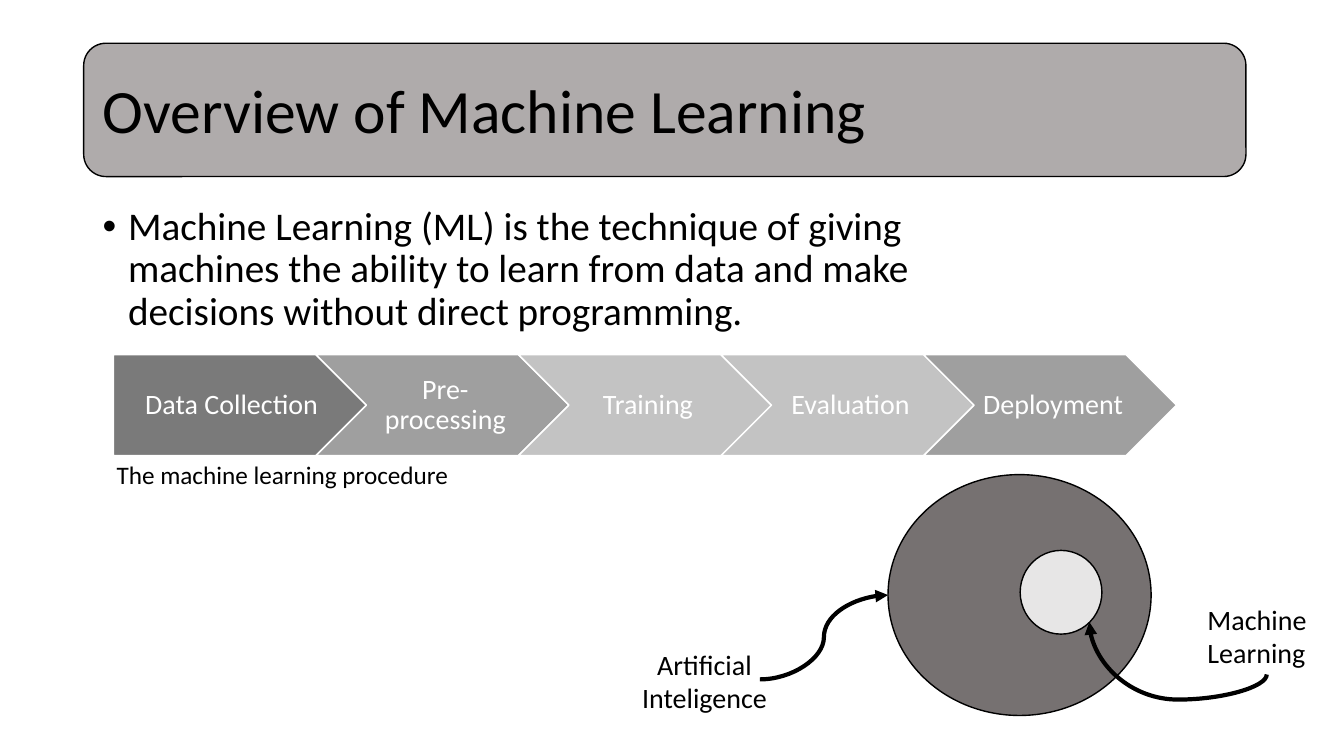
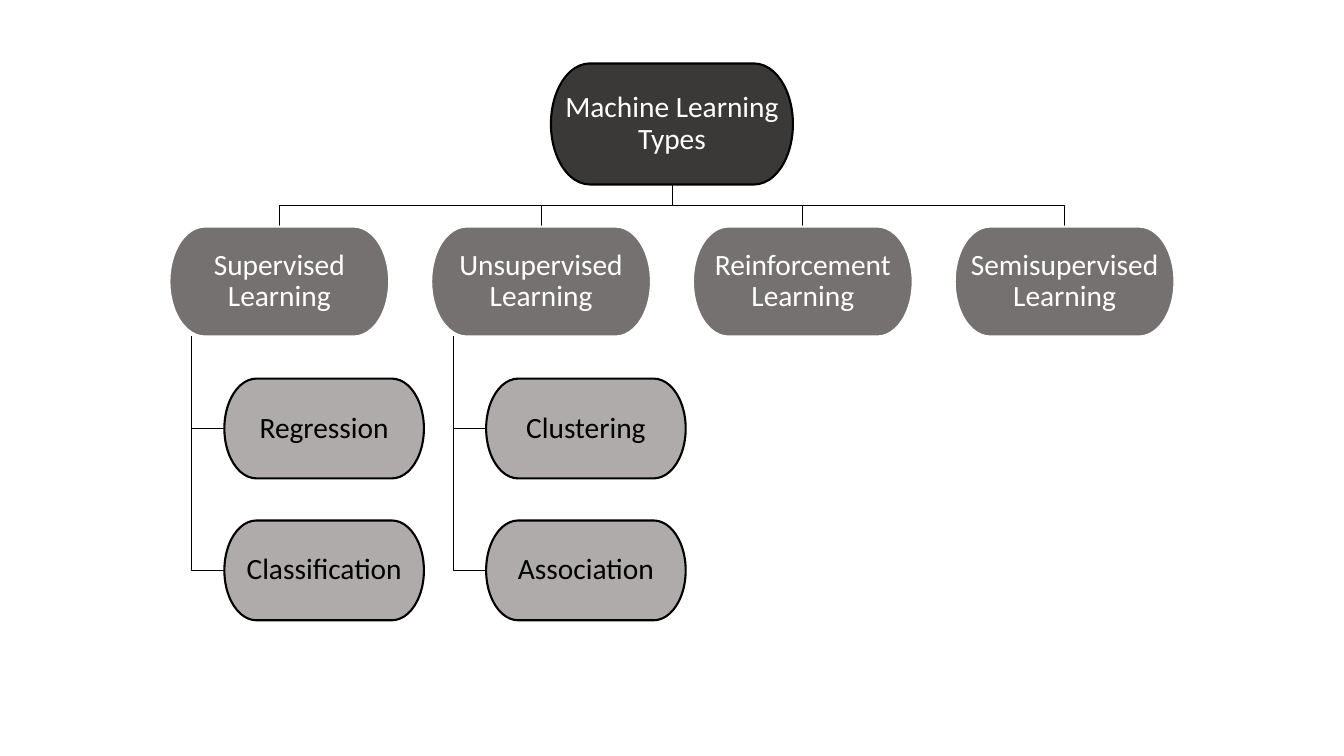
from lxml import etree
from pptx import Presentation
from pptx.dml.color import RGBColor
from pptx.enum.shapes import MSO_CONNECTOR, MSO_SHAPE
from pptx.enum.text import MSO_ANCHOR, PP_ALIGN
from pptx.oxml.ns import qn
from pptx.util import Cm, Pt

ELLIPSE = MSO_SHAPE.OVAL
ROUNDED = MSO_SHAPE.ROUNDED_RECTANGLE
PENTAGON = MSO_SHAPE.PENTAGON
CHEVRON = MSO_SHAPE.CHEVRON
TERMINATOR = MSO_SHAPE.FLOWCHART_TERMINATOR
CURVE = MSO_CONNECTOR.CURVE
LEFT = PP_ALIGN.LEFT
CENTER = PP_ALIGN.CENTER
TOP = MSO_ANCHOR.TOP
MIDDLE = MSO_ANCHOR.MIDDLE

FONT = "Calibri"
COLORS = {
    "black": "000000",
    "white": "FFFFFF",
    "charcoal": "3B3838",
    "dark": "767171",
    "band": "AFABAB",
    "pale": "E7E6E6",
    "step_dark": "7A7A7A",
    "step_medium": "9F9F9F",
    "step_light": "C3C3C3",
}
BLANK_LAYOUT = 6
NODE_INSETS = (0.03, 0.03, 0.03, 0.03)

STEPS = [
    ("Data Collection", "step_dark"),
    ("Pre-processing", "step_medium"),
    ("Training", "step_light"),
    ("Evaluation", "step_light"),
    ("Deployment", "step_medium"),
]
BRANCHES = [
    ("Supervised Learning", ["Regression", "Classification"]),
    ("Unsupervised Learning", ["Clustering", "Association"]),
    ("Reinforcement Learning", []),
    ("Semisupervised Learning", []),
]


def color(name):
    return RGBColor.from_string(COLORS[name])


def write_text(shape, text, size=20, ink="black", align=LEFT, anchor=TOP,
               insets=(0.25, 0.13, 0.25, 0.13), line_spacing=1.0,
               space_before=0, bullet_indent=0):
    frame = shape.text_frame
    frame.word_wrap = True
    frame.vertical_anchor = anchor
    (frame.margin_left, frame.margin_top,
     frame.margin_right, frame.margin_bottom) = map(Cm, insets)
    paragraph = frame.paragraphs[0]
    paragraph.alignment = align
    paragraph.line_spacing = line_spacing
    paragraph.space_before = Pt(space_before)
    run = paragraph.add_run()
    run.text = text
    run.font.name = FONT
    run.font.size = Pt(size)
    run.font.color.rgb = color(ink)
    if bullet_indent:
        properties = paragraph._p.get_or_add_pPr()
        properties.set("marL", str(Cm(bullet_indent)))
        properties.set("indent", str(-Cm(bullet_indent)))
        etree.SubElement(properties, qn("a:buFont"), typeface="Arial")
        etree.SubElement(properties, qn("a:buChar"), char="•")


def add_label(slide, text, left, top, width, height, **text_format):
    box = slide.shapes.add_textbox(Cm(left), Cm(top), Cm(width), Cm(height))
    write_text(box, text, **text_format)


def add_box(slide, kind, left, top, width, height, fill, line="black", line_width=1):
    shape = slide.shapes.add_shape(kind, Cm(left), Cm(top), Cm(width), Cm(height))
    shape.shadow.inherit = False
    shape.fill.solid()
    shape.fill.fore_color.rgb = color(fill)
    shape.line.color.rgb = color(line)
    shape.line.width = Pt(line_width)
    return shape


def add_curved_arrow(slide, begin, end, quarter_turns=0, bend=None):
    arrow = slide.shapes.add_connector(CURVE, *map(Cm, begin + end))
    arrow.line.color.rgb = color("black")
    arrow.line.width = Pt(3)
    etree.SubElement(arrow.line._get_or_add_ln(), qn("a:tailEnd"), type="triangle")
    properties = arrow._element.spPr
    etree.SubElement(properties, qn("a:effectLst"))
    if quarter_turns:
        properties.find(qn("a:xfrm")).set("rot", str(quarter_turns * 5400000))
    if bend is not None:
        geometry = properties.find(qn("a:prstGeom"))
        adjustments = geometry.find(qn("a:avLst"))
        if adjustments is None:
            adjustments = etree.SubElement(geometry, qn("a:avLst"))
        etree.SubElement(adjustments, qn("a:gd"), name="adj1",
                         fmla=f"val {round(bend * 100000)}")


def add_branch_line(slide, points):
    start, *others = [(Cm(x), Cm(y)) for x, y in points]
    builder = slide.shapes.build_freeform(*start)
    builder.add_line_segments(others, close=False)
    line = builder.convert_to_shape()
    line.shadow.inherit = False
    line.fill.background()
    line.line.color.rgb = color("black")
    line.line.width = Pt(0.5)


def add_title_band(slide, text, left, top, width, height):
    band = add_box(slide, ROUNDED, left, top, width, height, "band")
    write_text(band, text, size=44, anchor=MIDDLE, line_spacing=0.9,
               insets=(0.32, 0.31, 0.25, 0.13))


def add_process(slide, left, top, width, height):
    step_width = 6.37
    pitch = (width - step_width) / (len(STEPS) - 1)
    for index, (text, fill) in enumerate(STEPS):
        kind, inset = (CHEVRON, 0.15) if index else (PENTAGON, 0.22)
        step = add_box(slide, kind, left + index * pitch, top, step_width, height,
                       fill, line="white")
        write_text(step, text, ink="white", align=CENTER, anchor=MIDDLE,
                   insets=(inset, 0.16, 0, 0.16), line_spacing=0.9)
    add_label(slide, "The machine learning procedure",
              left - 0.17, top + height - 0.03, 9.22, 1.02, size=18)


def add_nested_circles(slide, left, top, width, height):
    add_box(slide, ELLIPSE, left, top, width, height, "dark")
    add_box(slide, ELLIPSE, left + 3.33, top + 1.91, 2.06, 2.11, "pale")
    add_label(slide, "Artificial Inteligence", left - 7.04, top + 4.22, 4.83, 1.96,
              align=CENTER)
    add_label(slide, "Machine Learning", left + 7.8, top + 3.08, 3.48, 1.96)
    add_curved_arrow(slide, (left - 3.23, top + 5.16), (left, top + height / 2))
    add_curved_arrow(slide, (left + 7.97, top + 2.14), (left + 6.65, top + 6.61),
                     quarter_turns=1, bend=-0.48)


def add_node(slide, text, left, top, width, fill, ink="white", line="black"):
    node = add_box(slide, TERMINATOR, left, top, width, width / 2, fill, line, 1.5)
    write_text(node, text, size=21, ink=ink, align=CENTER, anchor=MIDDLE,
               insets=NODE_INSETS, line_spacing=0.9)


def add_tree(slide, left, top, width):
    root_width, branch_width, leaf_width, gap = 6.1, 5.54, 5.03, 1.06
    center = left + width / 2
    root_bottom = top + root_width / 2
    branch_top = root_bottom + gap
    branch_bottom = branch_top + branch_width / 2
    branch_pitch = (width - branch_width) / (len(BRANCHES) - 1)
    leaf_height = leaf_width / 2
    add_node(slide, "Machine Learning Types", center - root_width / 2, top,
             root_width, "charcoal")
    for column, (branch, leaves) in enumerate(BRANCHES):
        branch_left = left + column * branch_pitch
        branch_center = branch_left + branch_width / 2
        middle = root_bottom + gap / 2
        add_branch_line(slide, [(center, root_bottom), (center, middle),
                                (branch_center, middle), (branch_center, branch_top)])
        add_node(slide, branch, branch_left, branch_top, branch_width, "dark",
                 line="white")
        trunk = branch_left + branch_width / 10
        leaf_left = branch_left + branch_width / 4
        for row, leaf in enumerate(leaves):
            leaf_top = branch_bottom + gap + row * (leaf_height + gap)
            leaf_middle = leaf_top + leaf_height / 2
            add_branch_line(slide, [(trunk, branch_bottom), (trunk, leaf_middle),
                                    (leaf_left, leaf_middle)])
            add_node(slide, leaf, leaf_left, leaf_top, leaf_width, "band", ink="black")


def add_slide(presentation):
    return presentation.slides.add_slide(presentation.slide_layouts[BLANK_LAYOUT])


def build_overview(presentation):
    slide = add_slide(presentation)
    add_title_band(slide, "Overview of Machine Learning", 2.11, 1.09, 29.29, 3.36)
    add_label(slide, "Machine Learning (ML) is the technique of giving machines the "
              "ability to learn from data and make decisions without direct programming.",
              2.34, 5.08, 24.26, 3.8, size=28, line_spacing=0.9, space_before=10,
              bullet_indent=0.64)
    add_process(slide, 2.86, 8.94, 26.79, 2.54)
    add_nested_circles(slide, 22.38, 11.96, 6.63, 6.07)


def build_types(presentation):
    slide = add_slide(presentation)
    add_tree(slide, 4.27, 1.6, 25.33)


def main():
    presentation = Presentation()
    presentation.slide_width = Cm(33.87)
    presentation.slide_height = Cm(19.05)
    build_overview(presentation)
    build_types(presentation)
    presentation.save("out.pptx")


if __name__ == "__main__":
    main()
